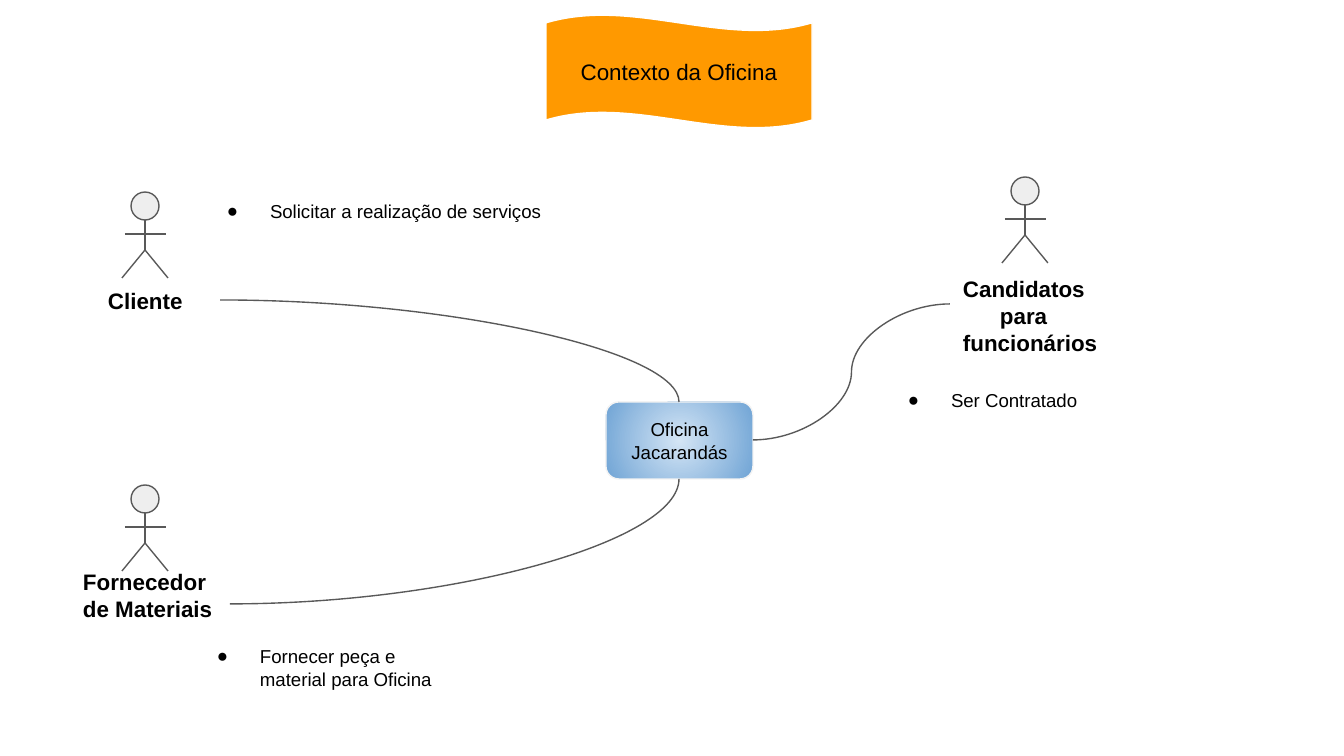
"""Build the workshop context slide: actors linked to a central system."""
from dataclasses import dataclass

from lxml import etree
from pptx import Presentation
from pptx.dml.color import RGBColor
from pptx.enum.shapes import MSO_CONNECTOR as Connector, MSO_SHAPE as Preset
from pptx.enum.text import MSO_ANCHOR as Anchor, PP_ALIGN as Align
from pptx.oxml.ns import qn
from pptx.util import Pt

SCALE = 914400 / 134.4
INSET = 13


@dataclass(frozen=True)
class Theme:
    font: str = "Arial"
    heading: int = 12
    body: int = 10
    rule: float = 0.75
    text: str = "000000"
    outline: str = "595959"
    head: str = "EEEEEE"
    banner: str = "FF9900"
    banner_edge: str = "FFFFFF"
    system_center: str = "D4E5F5"
    system_rim: str = "70A4D5"
    system_edge: str = "F3F3F3"


THEME = Theme()


def px(*lengths):
    return [round(length * SCALE) for length in lengths]


def rgb(value):
    return RGBColor.from_string(value)


def set_line(shape, color):
    shape.line.color.rgb = rgb(color)
    shape.line.width = Pt(THEME.rule)


def write(shape, lines, size, bold=False, align=Align.LEFT, top=INSET):
    frame = shape.text_frame
    frame.word_wrap = True
    frame.margin_left, frame.margin_right = px(INSET, INSET)
    frame.margin_top, frame.margin_bottom = px(top, top)
    frame.text = "\n".join(lines)
    for paragraph in frame.paragraphs:
        paragraph.alignment = align
        paragraph.font.name = THEME.font
        paragraph.font.size = Pt(size)
        paragraph.font.bold = bold
        paragraph.font.color.rgb = rgb(THEME.text)
    return frame


def indent(paragraph, left, first=0):
    properties = paragraph._p.get_or_add_pPr()
    properties.set("marL", str(px(left)[0]))
    properties.set("indent", str(px(first)[0]))
    return properties


def add_preset(shapes, preset, box, edge, fill=None):
    shape = shapes.add_shape(preset, *px(*box))
    shape.shadow.inherit = False
    if fill:
        shape.fill.solid()
        shape.fill.fore_color.rgb = rgb(fill)
    set_line(shape, edge)
    return shape


def add_line(shapes, start, end, kind=Connector.STRAIGHT):
    line = shapes.add_connector(kind, *px(*start, *end))
    set_line(line, THEME.outline)
    etree.SubElement(line._element.spPr, qn("a:effectLst"))
    return line


def add_quarter_curve(shapes, start, end):
    curve = add_line(shapes, start, end, Connector.CURVE)
    curve._element.spPr.find(qn("a:prstGeom")).set("prst", "curvedConnector2")


def add_actor(shapes, center, top, label_box, lines, indents):
    group = shapes.add_group_shape().shapes
    add_preset(group, Preset.FLOWCHART_CONNECTOR, (center - 14, top, 28, 28),
               THEME.outline, THEME.head)
    hip = (center, top + 58)
    add_line(group, (center, top + 28), hip)
    add_line(group, (center - 20, top + 42), (center + 21, top + 42))
    for side in (-23, 23):
        add_line(group, hip, (center + side, top + 86))
    label = group.add_textbox(*px(*label_box))
    frame = write(label, lines, THEME.heading, bold=True)
    for paragraph, left in zip(frame.paragraphs, indents):
        indent(paragraph, left)


def add_bullet(shapes, box, text, top=INSET):
    frame = write(shapes.add_textbox(*px(*box)), [text], THEME.body, top=top)
    properties = indent(frame.paragraphs[0], 67, -43)
    color = etree.Element(qn("a:buClr"))
    etree.SubElement(color, qn("a:srgbClr"), val=THEME.text)
    font = etree.Element(qn("a:buFont"), typeface=THEME.font)
    mark = etree.Element(qn("a:buChar"), char="●")
    for position, element in enumerate((color, font, mark)):
        properties.insert(position, element)


def fill_radial(shape, center, rim):
    shape.fill.gradient()
    for stop, color in zip(shape.fill.gradient_stops, (center, rim)):
        stop.color.rgb = rgb(color)
    gradient = shape._element.spPr.find(qn("a:gradFill"))
    gradient.remove(gradient.find(qn("a:lin")))
    radial = etree.SubElement(gradient, qn("a:path"), path="circle")
    etree.SubElement(radial, qn("a:fillToRect"),
                     {side: "50000" for side in "ltrb"})


def add_banner(shapes):
    banner = add_preset(shapes, Preset.WAVE, (546, 15, 266, 113),
                        THEME.banner_edge, THEME.banner)
    banner.adjustments[0] = 0.07
    frame = write(banner, ["Contexto da Oficina"], THEME.heading,
                  align=Align.CENTER)
    frame.vertical_anchor = Anchor.MIDDLE


def add_system(shapes):
    system = add_preset(shapes, Preset.ROUNDED_RECTANGLE, (606, 402, 147, 77),
                        THEME.system_edge)
    fill_radial(system, THEME.system_center, THEME.system_rim)
    frame = write(system, ["Oficina Jacarandás"], THEME.body,
                  align=Align.CENTER)
    frame.vertical_anchor = Anchor.MIDDLE


def main():
    presentation = Presentation()
    presentation.slide_width, presentation.slide_height = px(1344, 756)
    slide = presentation.slides.add_slide(presentation.slide_layouts[6])
    shapes = slide.shapes
    add_banner(shapes)
    add_system(shapes)
    add_actor(shapes, 145, 485, (70, 555, 160, 98),
              ["Fornecedor de Materiais"], [0])
    add_actor(shapes, 145, 192, (70, 274, 150, 51), ["Cliente"], [25])
    add_actor(shapes, 1025, 177, (950, 262, 340, 83),
              ["Candidatos", "para", "funcionários"], [0, 37, 0])
    add_quarter_curve(shapes, (220, 300), (679, 402))
    add_quarter_curve(shapes, (230, 604), (679, 479))
    add_line(shapes, (950, 304), (753, 440), Connector.CURVE)
    add_bullet(shapes, (180, 632, 285, 59),
               "Fornecer peça e material para Oficina")
    add_bullet(shapes, (190, 189, 500, 72), "Solicitar a realização de serviços")
    add_bullet(shapes, (871, 382, 419, 59), "Ser Contratado", top=7)
    presentation.save("out.pptx")


main()
